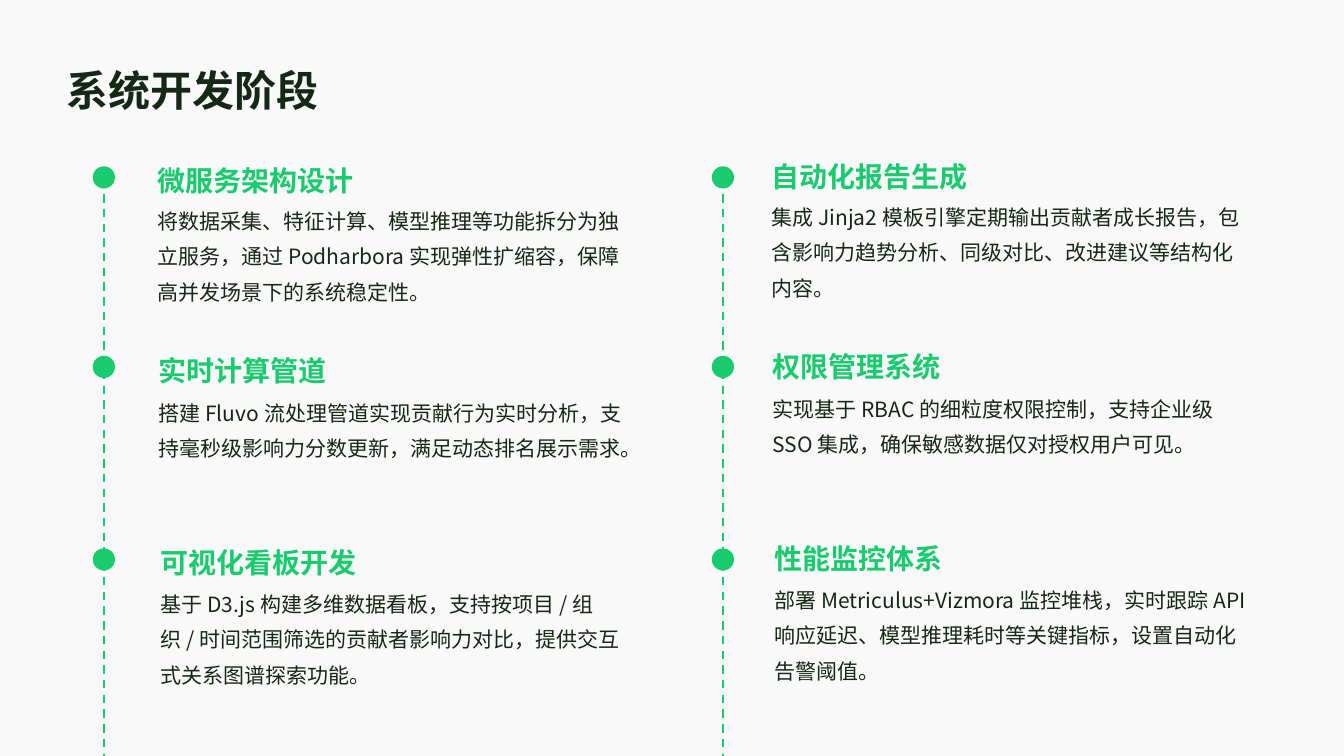
from dataclasses import dataclass

from lxml.etree import SubElement
from pptx import Presentation
from pptx.dml.color import RGBColor
from pptx.enum.dml import MSO_LINE
from pptx.enum.shapes import MSO_CONNECTOR, MSO_SHAPE
from pptx.enum.text import MSO_ANCHOR, MSO_AUTO_SIZE, PP_ALIGN
from pptx.oxml.ns import qn
from pptx.util import Inches, Pt


@dataclass(frozen=True)
class Theme:
    font: str = "Noto Sans CJK SC"
    background: RGBColor = RGBColor(0xF9, 0xF9, 0xF9)
    accent: RGBColor = RGBColor(0x1A, 0xCA, 0x6E)
    ink: RGBColor = RGBColor(0x15, 0x28, 0x15)
    title_size: float = 30
    heading_size: float = 20
    body_size: float = 15
    line_width: float = 1.5


# Layout in inches
STAGE_TOPS = (1.43, 3.31, 5.22)
STAGE_INDENTS = (0, 0.01, 0.03)
BODY_TOP, BODY_PITCH = 1.83, 1.9
TEXT_WIDTH, DOT = 4.91, 0.22

# Each column: text left, text rise, timeline left, stages
COLUMNS = [
    (1.42, 0, 0.92, [
        ("微服务架构设计", "将数据采集、特征计算、模型推理等功能拆分为独立服务，"
         "通过Podharbora实现弹性扩缩容，保障高并发场景下的系统稳定性。"),
        ("实时计算管道", "搭建Fluvo流处理管道实现贡献行为实时分析，"
         "支持毫秒级影响力分数更新，满足动态排名展示需求。"),
        ("可视化看板开发", "基于D3.js构建多维数据看板，支持按项目/组织/时间范围"
         "筛选的贡献者影响力对比，提供交互式关系图谱探索功能。"),
    ]),
    (7.51, 0.04, 7.06, [
        ("自动化报告生成", "集成Jinja2模板引擎定期输出贡献者成长报告，"
         "包含影响力趋势分析、同级对比、改进建议等结构化内容。"),
        ("权限管理系统", "实现基于RBAC的细粒度权限控制，支持企业级SSO集成，"
         "确保敏感数据仅对授权用户可见。"),
        ("性能监控体系", "部署Metriculus+Vizmora监控堆栈，实时跟踪API响应延迟、"
         "模型推理耗时等关键指标，设置自动化告警阈值。"),
    ]),
]


def write_text(frame, text, *, font, size, color, bold=False, spacing=1.4,
               before=0, anchor=MSO_ANCHOR.TOP):
    frame.word_wrap = True
    frame.auto_size = MSO_AUTO_SIZE.NONE
    frame.vertical_anchor = anchor
    frame.margin_left = frame.margin_top = frame.margin_bottom = Inches(0.14)
    frame.margin_right = Inches(0.06)
    paragraph = frame.paragraphs[0]
    paragraph.alignment = PP_ALIGN.LEFT
    paragraph.line_spacing = spacing
    paragraph.space_before = Pt(before)
    run = paragraph.add_run()
    run.text = text
    run.font.name = font
    run.font.size = Pt(size)
    run.font.bold = bold
    run.font.color.rgb = color
    # East Asian glyphs take their own typeface
    SubElement(run.font._element, qn("a:ea"), typeface=font)


class StageSlide:
    def __init__(self, deck, theme):
        self.theme = theme
        self.slide = deck.slides.add_slide(deck.slide_layouts[5])
        fill = self.slide.background.fill
        fill.solid()
        fill.fore_color.rgb = theme.background

    def title(self, text):
        title = self.slide.shapes.title
        title.left, title.top = Inches(0.52), Inches(0.29)
        title.width, title.height = Inches(12.29), Inches(1)
        write_text(title.text_frame, text, font=self.theme.font,
                   size=self.theme.title_size, color=self.theme.ink,
                   bold=True, anchor=MSO_ANCHOR.MIDDLE)

    def text(self, text, left, top, height, **style):
        box = self.slide.shapes.add_textbox(
            Inches(left), Inches(top), Inches(TEXT_WIDTH), Inches(height))
        write_text(box.text_frame, text, font=self.theme.font, **style)

    def heading(self, text, left, top):
        self.text(text, left, top, 0.66, size=self.theme.heading_size,
                  color=self.theme.accent, bold=True, spacing=1.2,
                  before=4.5, anchor=MSO_ANCHOR.MIDDLE)

    def body(self, text, left, top):
        self.text(text, left, top, 1.26, size=self.theme.body_size,
                  color=self.theme.ink)

    def timeline(self, left):
        timeline = self.slide.shapes.add_group_shape()
        for stage_top in STAGE_TOPS:
            dot = timeline.shapes.add_shape(
                MSO_SHAPE.OVAL, Inches(left), Inches(stage_top + 0.22),
                Inches(DOT), Inches(DOT))
            dot.shadow.inherit = False
            dot.fill.solid()
            dot.fill.fore_color.rgb = self.theme.accent
            dot.line.fill.background()
        center = Inches(left + DOT / 2)
        track = timeline.shapes.add_connector(
            MSO_CONNECTOR.STRAIGHT, center, Inches(1.78), center, Inches(7.5))
        track.line.color.rgb = self.theme.accent
        track.line.width = Pt(self.theme.line_width)
        track.line.dash_style = MSO_LINE.DASH
        SubElement(track._element.spPr, qn("a:effectLst"))


def main():
    deck = Presentation()
    deck.slide_width, deck.slide_height = Inches(13.33), Inches(7.5)
    page = StageSlide(deck, Theme())
    page.title("系统开发阶段")

    # Two columns of stages, each beside its timeline
    for text_left, rise, timeline_left, stages in COLUMNS:
        for row, (heading, body) in enumerate(stages):
            left = text_left + STAGE_INDENTS[row]
            page.heading(heading, left, STAGE_TOPS[row] - rise)
            page.body(body, left, BODY_TOP + row * BODY_PITCH - rise)
        page.timeline(timeline_left)

    deck.save("out.pptx")


if __name__ == "__main__":
    main()
